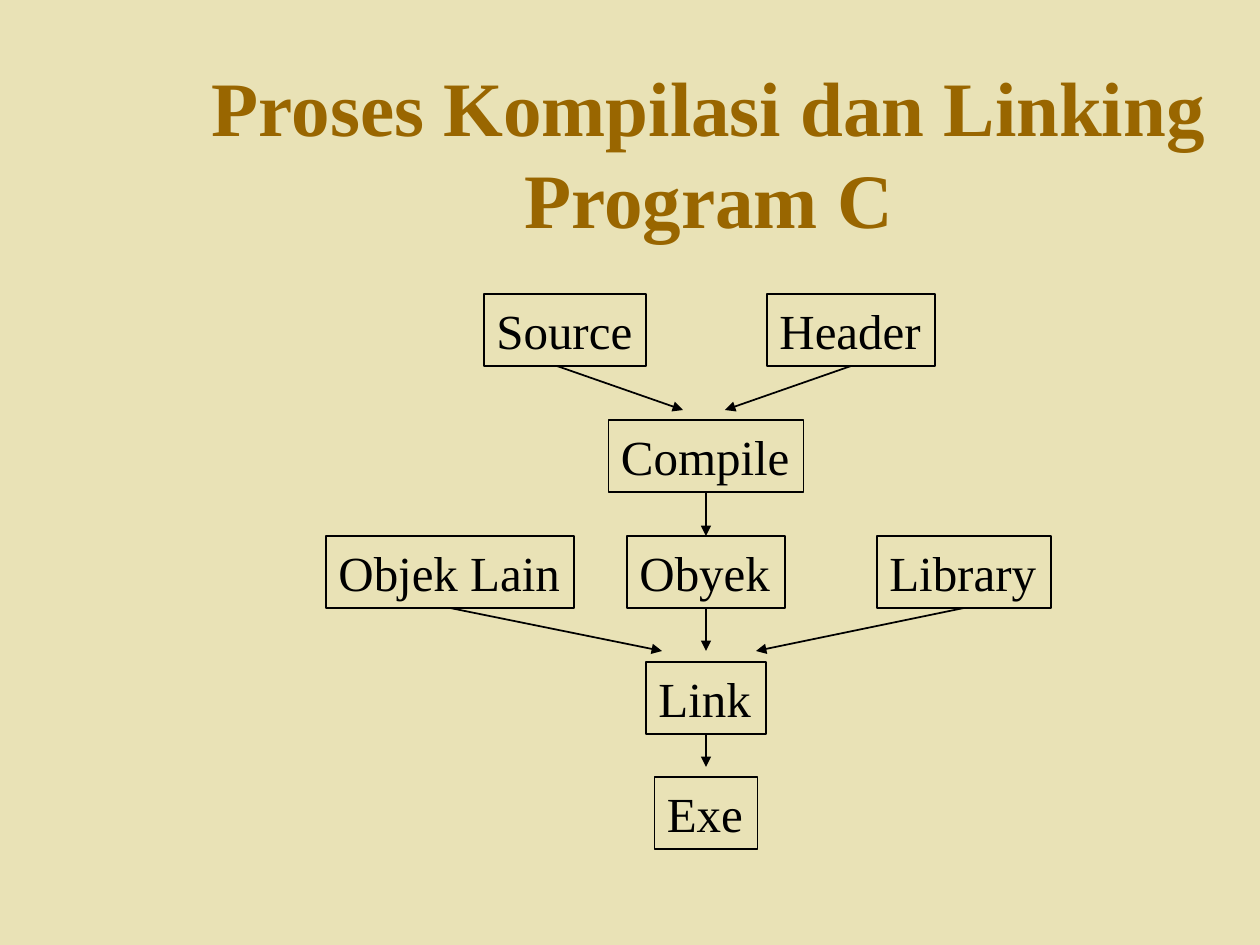
from dataclasses import dataclass
from typing import Optional

from lxml.etree import SubElement
from pptx import Presentation
from pptx.dml.color import RGBColor
from pptx.enum.shapes import MSO_CONNECTOR as Conn, MSO_SHAPE as Shp
from pptx.enum.text import MSO_ANCHOR as Anchor, MSO_AUTO_SIZE as Auto, PP_ALIGN as Align
from pptx.oxml.ns import qn
from pptx.util import Emu, Pt

SCALE = 914400 / 126
FONT = "Times New Roman"
BACKGROUND = RGBColor(0xE9, 0xE2, 0xB6)
BROWN = RGBColor(0x99, 0x66, 0x00)
BLACK = RGBColor(0, 0, 0)
BOX_H = 72
MID = 706
SOURCES_Y, COMPILE_Y, OBJECTS_Y, LINK_Y, EXE_Y = 294, 420, 536, 662, 777
TOP, BOTTOM = 0, 2


@dataclass
class Box:
    label: str
    center: int
    top: int
    width: int


@dataclass
class Arrow:
    source: str
    x: int
    y: int
    start_x: Optional[int] = None
    target: Optional[str] = None


BOXES = [
    Box("Source", 565, SOURCES_Y, 162),
    Box("Header", 851, SOURCES_Y, 168),
    Box("Compile", MID, COMPILE_Y, 195),
    Box("Objek Lain", 450, OBJECTS_Y, 248),
    Box("Obyek", MID, OBJECTS_Y, 158),
    Box("Library", 964, OBJECTS_Y, 174),
    Box("Link", MID, LINK_Y, 120),
    Box("Exe", MID, EXE_Y, 103),
]
ARROWS = [
    Arrow("Source", 683, 410, start_x=557),
    Arrow("Header", 725, 410),
    Arrow("Compile", MID, OBJECTS_Y, target="Obyek"),
    Arrow("Objek Lain", 662, 651),
    Arrow("Obyek", MID, 651),
    Arrow("Library", 756, 651),
    Arrow("Link", MID, 767),
]


def px(n: float) -> Emu:
    return Emu(round(n * SCALE))


def add_run(p, text: str, size: int, color: RGBColor, bold: bool = False) -> None:
    r = p.add_run()
    r.text = text
    r.font.name = FONT
    r.font.size = Pt(size)
    r.font.bold = bold
    r.font.color.rgb = color


def add_title(s, text: str) -> None:
    sp = s.shapes.title
    sp.left, sp.top, sp.width, sp.height = px(189), px(73), px(1040), px(158)
    tf = sp.text_frame
    tf.auto_size = Auto.NONE
    tf.vertical_anchor = Anchor.MIDDLE
    p = tf.paragraphs[0]
    p.alignment = Align.CENTER
    add_run(p, text, 44, BROWN, bold=True)


def add_box(s, box: Box):
    sp = s.shapes.add_shape(Shp.RECTANGLE, px(box.center - box.width / 2),
                            px(box.top), px(box.width), px(BOX_H))
    sp.shadow.inherit = False
    sp.fill.background()
    sp.line.color.rgb = BLACK
    sp.line.width = Pt(1)
    tf = sp.text_frame
    tf.word_wrap = False
    tf.auto_size = Auto.NONE
    tf.vertical_anchor = Anchor.TOP
    p = tf.paragraphs[0]
    p.alignment = Align.LEFT
    add_run(p, box.label, 28, BLACK)
    return sp


def add_arrow(s, arrow: Arrow, shapes: dict) -> None:
    sp = shapes[arrow.source]
    start_x = px(arrow.start_x or 0)
    c = s.shapes.add_connector(Conn.STRAIGHT, start_x, sp.top + sp.height,
                               px(arrow.x), px(arrow.y))
    if arrow.start_x is None:
        c.begin_connect(sp, BOTTOM)
    if arrow.target:
        c.end_connect(shapes[arrow.target], TOP)
    c.line.color.rgb = BLACK
    c.line.width = Pt(1)
    SubElement(c.line._get_or_add_ln(), qn("a:tailEnd"), type="triangle")
    SubElement(c._element.spPr, qn("a:effectLst"))


def main() -> None:
    prs = Presentation()
    prs.slide_width, prs.slide_height = px(1260), px(945)
    s = prs.slides.add_slide(prs.slide_layouts[5])
    s.background.fill.solid()
    s.background.fill.fore_color.rgb = BACKGROUND
    add_title(s, "Proses Kompilasi dan Linking Program C")
    shapes = {box.label: add_box(s, box) for box in BOXES}
    for arrow in ARROWS:
        add_arrow(s, arrow, shapes)
    prs.save("out.pptx")


if __name__ == "__main__":
    main()
